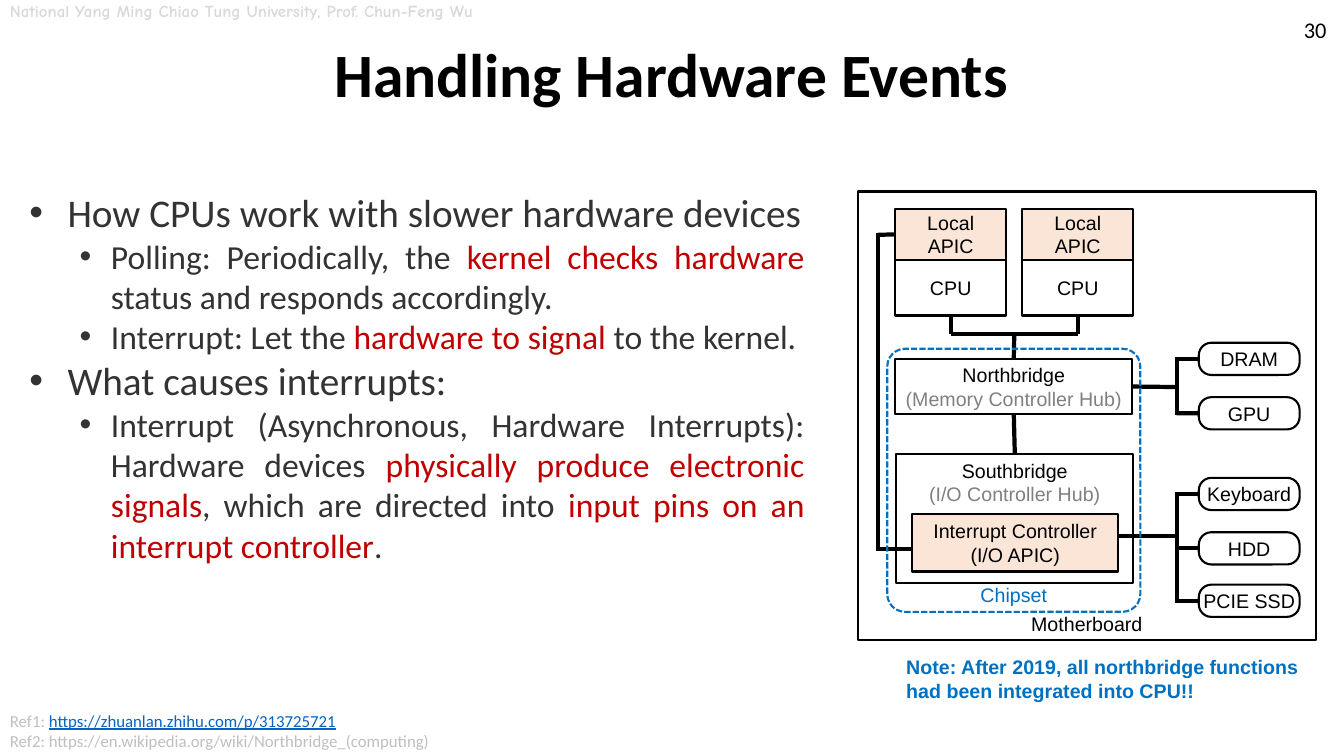
from lxml.etree import SubElement
from pptx import Presentation
from pptx.dml.color import RGBColor
from pptx.enum.dml import MSO_LINE
from pptx.enum.shapes import MSO_CONNECTOR, MSO_SHAPE
from pptx.enum.text import MSO_ANCHOR, MSO_AUTO_SIZE, PP_ALIGN
from pptx.oxml.ns import qn
from pptx.util import Inches, Pt

COLORS = {"black": "000000", "text": "333333", "red": "C00000", "blue": "0070C0",
          "link": "0563C1", "peach": "FBE5D6", "gray": "808080",
          "reference": "BFBFBF", "header": "D9D9D9"}

# Content: a run is (text, color)
TITLE = "Handling Hardware Events"
BODY = [
    (0, [("How CPUs work with slower hardware devices", "text")]),
    (1, [("Polling: Periodically, the ", "text"), ("kernel checks hardware ", "red"),
         ("status and responds accordingly.", "text")]),
    (1, [("Interrupt: Let the ", "text"), ("hardware to signal", "red"),
         (" to the kernel.", "text")]),
    (0, [("What causes interrupts:", "text")]),
    (1, [("Interrupt (Asynchronous, Hardware Interrupts): Hardware devices ", "text"),
         ("physically produce electronic signals", "red"),
         (", which are directed into ", "text"),
         ("input pins on an interrupt controller", "red"), (".", "text")]),
]
LEVELS = [{"size": 28, "margin": 0.38, "indent": -0.38},
          {"size": 24, "margin": 0.81, "indent": -0.31}]

# Text boxes: position, font format, alignment, paragraphs
HEADER_FONT = {"name": "Comic Neue", "size": Pt(12), "bold": True}
NUMBER_FONT = {"name": "Calibri", "size": Pt(16)}
NOTE_FONT = {"name": "Arial", "size": Pt(14), "bold": True}
REFERENCE_FONT = {"name": "Calibri", "size": Pt(12)}
TEXT_BOXES = [
    ((0, -0.04, 5.19, 0.3), HEADER_FONT, PP_ALIGN.LEFT,
     [[("National Yang Ming Chiao Tung University, Prof. Chun-Feng Wu", "header")]]),
    ((12.76, 0.11, 0.57, 0.35), NUMBER_FONT, PP_ALIGN.CENTER, [[("30", "black")]]),
    ((8.89, 6.45, 4.16, 0.57), NOTE_FONT, PP_ALIGN.LEFT,
     [[("Note: After 2019, all northbridge functions", "blue")],
      [("had been integrated into CPU!!", "blue")]]),
    ((0, 7, 4.4, 0.5), REFERENCE_FONT, PP_ALIGN.LEFT,
     [[("Ref1: ", "reference"), ("https://zhuanlan.zhihu.com/p/313725721", "link")],
      [("Ref2: https://en.wikipedia.org/wiki/Northbridge_(computing)", "reference")]]),
]

# Diagram blocks: name, position, runs, fill, anchor, side inset
TOP, MIDDLE, BOTTOM = MSO_ANCHOR.TOP, MSO_ANCHOR.MIDDLE, MSO_ANCHOR.BOTTOM
BLOCKS = [
    ("motherboard", (8.51, 1.9, 4.54, 4.45), [("Motherboard", "black")], None, BOTTOM, 0.1),
    ("interrupt controller", (9.05, 5.1, 2.04, 0.57),
     [("Interrupt Controller\v(I/O APIC)", "black")], "peach", TOP, 0.1),
    ("southbridge", (8.89, 4.5, 2.35, 1.28),
     [("Southbridge\v", "black"), ("(I/O Controller Hub)", "gray")], None, TOP, 0.05),
    ("northbridge", (8.88, 3.56, 2.35, 0.55),
     [("Northbridge\v", "black"), ("(Memory Controller Hub)", "gray")], None, MIDDLE, 0.05),
]
CPU_LEFTS = [8.88, 10.14]
for number, left in enumerate(CPU_LEFTS):
    BLOCKS += [
        (f"apic {number}", (left, 2.07, 1.1, 0.51), [("Local APIC", "black")], "peach", MIDDLE, 0.1),
        (f"cpu {number}", (left, 2.58, 1.1, 0.55), [("CPU", "black")], None, MIDDLE, 0.1),
    ]
NORTH_DEVICES = {"DRAM": 3.4, "GPU": 3.94}
SOUTH_DEVICES = {"Keyboard": 4.74, "HDD": 5.28, "PCIE SSD": 5.8}
DEVICE_LEFT, DEVICE_WIDTH, DEVICE_HEIGHT = 11.89, 1, 0.32
CHIPSET = (8.8, 3.46, 2.51, 2.61)

# Wiring coordinates
CPU_BUS_Y, DEVICE_BUS_X, INTERRUPT_BUS_X = 3.31, 11.67, 8.71
SITE_TOP, SITE_LEFT, SITE_BOTTOM, SITE_RIGHT = range(4)

presentation = Presentation()
presentation.slide_width, presentation.slide_height = Inches(13.33), Inches(7.5)
slide = presentation.slides.add_slide(presentation.slide_layouts[1])


def color(name):
    return RGBColor.from_string(COLORS[name])


def add_runs(paragraph, runs, font_format):
    for text, color_name in runs:
        for index, part in enumerate(text.split("\v")):
            if index:
                paragraph.add_line_break()
            if not part:
                continue
            run = paragraph.add_run()
            run.text = part
            for attribute, value in font_format.items():
                setattr(run.font, attribute, value)
            run.font.color.rgb = color(color_name)
            if color_name == "link":
                run.font.underline = True


def place(shape, box):
    for attribute, value in zip(("left", "top", "width", "height"), box):
        setattr(shape, attribute, Inches(value))


def add_block(kind, box, runs, fill=None, anchor=MIDDLE, inset=0.1, line="black"):
    shape = slide.shapes.add_shape(kind, *map(Inches, box))
    shape.shadow.inherit = False
    if fill:
        shape.fill.solid()
        shape.fill.fore_color.rgb = color(fill)
    else:
        shape.fill.background()
    shape.line.color.rgb = color(line)
    shape.line.width = Pt(1.5)
    frame = shape.text_frame
    frame.word_wrap = True
    frame.vertical_anchor = anchor
    frame.margin_left = frame.margin_right = Inches(inset)
    frame.paragraphs[0].alignment = PP_ALIGN.CENTER
    add_runs(frame.paragraphs[0], runs, {"name": "Arial", "size": Pt(14)})
    return shape


def add_wire(start, end):
    """Each end is an (x, y) point or a (block name, site) pair."""
    joined = [isinstance(point[0], str) for point in (start, end)]
    points = [(0, 0) if is_joined else point for point, is_joined in zip((start, end), joined)]
    wire = slide.shapes.add_connector(
        MSO_CONNECTOR.STRAIGHT, *[Inches(value) for point in points for value in point])
    if joined[0]:
        wire.begin_connect(blocks[start[0]], start[1])
    if joined[1]:
        wire.end_connect(blocks[end[0]], end[1])
    wire.line.color.rgb = color("black")
    wire.line.width = Pt(3)
    SubElement(wire.element.spPr, qn("a:effectLst"))


# Title
title = slide.shapes.title
place(title, (0.19, 0.19, 12.94, 1.16))
title.text_frame.vertical_anchor = MIDDLE
title_paragraph = title.text_frame.paragraphs[0]
title_paragraph.alignment = PP_ALIGN.CENTER
title_paragraph.line_spacing = 0.9
add_runs(title_paragraph, [(TITLE, "black")], {"name": "Calibri", "size": Pt(44), "bold": True})

# Bulleted body
body = slide.placeholders[1]
place(body, (0.19, 1.82, 7.89, 5.1))
body.text_frame.auto_size = MSO_AUTO_SIZE.NONE
for index, (level, runs) in enumerate(BODY):
    paragraph = body.text_frame.paragraphs[0] if index == 0 else body.text_frame.add_paragraph()
    style = LEVELS[level]
    paragraph.level = level
    paragraph.alignment = PP_ALIGN.JUSTIFY
    paragraph.space_before = paragraph.space_after = Pt(0)
    properties = paragraph._p.get_or_add_pPr()
    properties.set("marL", str(Inches(style["margin"])))
    properties.set("indent", str(Inches(style["indent"])))
    SubElement(properties, qn("a:buFont"), typeface="Arial")
    SubElement(properties, qn("a:buChar"), char="•")
    add_runs(paragraph, runs, {"name": "Calibri", "size": Pt(style["size"])})

# Header, slide number, note and references
for box, font_format, alignment, paragraphs in TEXT_BOXES:
    frame = slide.shapes.add_textbox(*map(Inches, box)).text_frame
    frame.word_wrap = False
    for index, runs in enumerate(paragraphs):
        paragraph = frame.paragraphs[0] if index == 0 else frame.add_paragraph()
        paragraph.alignment = alignment
        add_runs(paragraph, runs, font_format)

# Diagram blocks and devices
blocks = {name: add_block(MSO_SHAPE.RECTANGLE, *block) for name, *block in BLOCKS}
for name, top in {**NORTH_DEVICES, **SOUTH_DEVICES}.items():
    box = (DEVICE_LEFT, top, DEVICE_WIDTH, DEVICE_HEIGHT)
    blocks[name] = add_block(MSO_SHAPE.ROUNDED_RECTANGLE, box, [(name, "black")], inset=0)
    blocks[name].adjustments[0] = 0.39

# Processor bus, bridges and interrupt line
cpu_centers = [left + 0.55 for left in CPU_LEFTS]
for number, center in enumerate(cpu_centers):
    add_wire((f"cpu {number}", SITE_BOTTOM), (center, CPU_BUS_Y))
add_wire((cpu_centers[0], CPU_BUS_Y), (cpu_centers[1], CPU_BUS_Y))
add_wire((10.06, CPU_BUS_Y), ("northbridge", SITE_TOP))
add_wire(("northbridge", SITE_BOTTOM), ("southbridge", SITE_TOP))
add_wire((INTERRUPT_BUS_X, 2.33), ("apic 0", SITE_LEFT))
add_wire((INTERRUPT_BUS_X, 2.31), (INTERRUPT_BUS_X, 5.47))
add_wire((INTERRUPT_BUS_X, 5.45), (9.05, 5.45))

# Device buses
for source, source_y, devices in [(("northbridge", SITE_RIGHT), 3.84, NORTH_DEVICES),
                                  ((11.1, 5.32), 5.32, SOUTH_DEVICES)]:
    add_wire(source, (DEVICE_BUS_X, source_y))
    centers = [top + DEVICE_HEIGHT / 2 for top in devices.values()]
    add_wire((DEVICE_BUS_X, centers[0] - 0.02), (DEVICE_BUS_X, centers[-1] + 0.02))
    for name, center in zip(devices, centers):
        add_wire((DEVICE_BUS_X, center), (name, SITE_LEFT))

# Chipset outline
chipset = add_block(MSO_SHAPE.ROUNDED_RECTANGLE, CHIPSET, [("Chipset", "blue")],
                    anchor=BOTTOM, line="blue")
chipset.adjustments[0] = 0.07
chipset.line.dash_style = MSO_LINE.SQUARE_DOT
chipset.text_frame.margin_bottom = 0

presentation.save("out.pptx")
